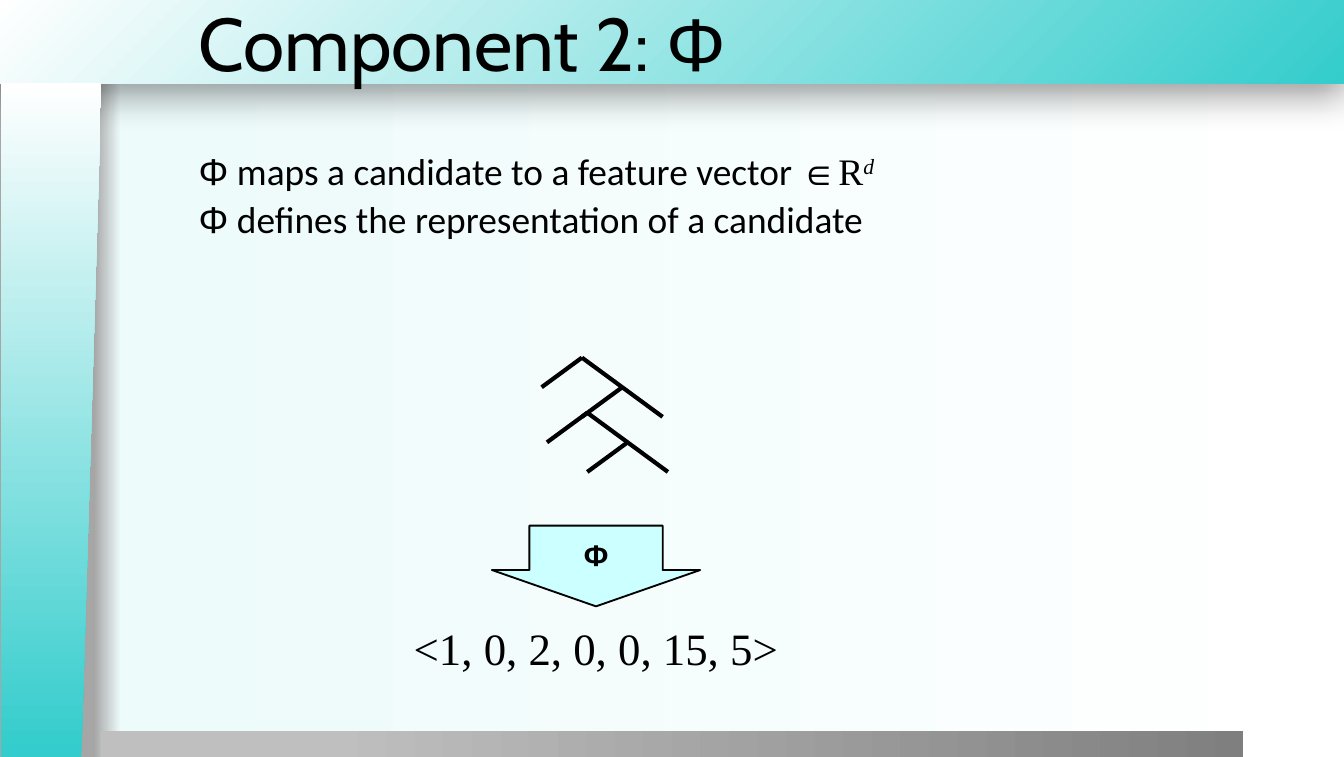
from lxml import etree
from pptx import Presentation
from pptx import util as u
from pptx.dml.color import RGBColor
from pptx.enum import shapes, text
from pptx.oxml.ns import qn

PX = u.Inches(1) // 100
BLACK, WHITE, TEAL = "000000", "FFFFFF", "34CCCC"


def px(*lengths):
    return [length * PX for length in lengths]


def rgb(value):
    return RGBColor.from_string(value)


def sub(parent, tag, **attributes):
    """Append a drawing element with the given attributes."""
    values = {name: str(value) for name, value in attributes.items()}
    return etree.SubElement(parent, qn(tag), values)


def fill_gradient(owner, fill, stops, from_corner=False):
    """Fill left to right, or outwards from the bottom right corner."""
    fill.gradient()
    gradient = next(owner.iter(qn("a:gradFill")))
    for child in list(gradient):
        gradient.remove(child)
    stop_list = sub(gradient, "a:gsLst")
    for percent, color in stops:
        stop = sub(stop_list, "a:gs", pos=percent * 1000)
        sub(stop, "a:srgbClr", val=color)
    if from_corner:
        circle = sub(gradient, "a:path", path="circle")
        sub(circle, "a:fillToRect", l=100000, t=100000)
    else:
        sub(gradient, "a:lin", ang=0, scaled=0)


def add_band(slide, kind, box, stops, from_corner=False):
    band = slide.shapes.add_shape(kind, *px(*box))
    band.shadow.inherit = False
    band.line.fill.background()
    fill_gradient(band._element, band.fill, stops, from_corner)
    return band


def add_drop_shadow(shape):
    effects = shape._element.spPr.find(qn("a:effectLst"))
    shadow = sub(effects, "a:outerShdw", blurRad=u.Pt(20), dist=u.Pt(6),
                 dir=90 * 60000, algn="t", rotWithShape=0)
    sub(sub(shadow, "a:srgbClr", val=BLACK), "a:alpha", val=40000)


def style(font, size, name=None, bold=None):
    font.size = u.Pt(size)
    font.name = name
    font.bold = bold
    font.color.rgb = rgb(BLACK)


def write(paragraph, size, *pieces):
    """Write (words, font name) pieces in one size."""
    style(paragraph.font, size)
    for words, name in pieces:
        run = paragraph.add_run()
        run.text = words
        run.font.name = name


def add_theme(slide):
    fill_gradient(slide._element, slide.background.fill,
                  [(7, "A6A6A6"), (9, "EDFBFB"), (100, WHITE)])
    rect = shapes.MSO_SHAPE.RECTANGLE
    header = add_band(slide, rect, (-1, 0, 1001, 62),
                      [(0, TEAL), (100, WHITE)], from_corner=True)
    add_drop_shadow(header)
    add_band(slide, rect, (75, 544, 850, 20), [(20, "BFBFBF"), (100, "7F7F7F")])
    side = add_band(slide, shapes.MSO_SHAPE.FLOWCHART_MANUAL_INPUT,
                    (-213, 275, 502, 75), [(1, TEAL), (100, WHITE)])
    side.rotation = 270
    side._element.spPr.xfrm.set("flipV", "1")


def place_title(slide):
    title = slide.shapes.title
    title.left, title.top, title.width, title.height = px(138, 0, 863, 62)
    slide.shapes._spTree.append(title._element)
    frame = title.text_frame
    frame.auto_size = text.MSO_AUTO_SIZE.NONE
    frame.vertical_anchor = text.MSO_ANCHOR.MIDDLE
    paragraph = frame.paragraphs[0]
    paragraph.alignment = text.PP_ALIGN.LEFT
    write(paragraph, 40, ("Component 2: ", "Cabin"), ("Φ", "Arial"))


def add_definitions(slide):
    frame = slide.shapes.add_textbox(*px(138, 109, 787, 144)).text_frame
    frame.word_wrap = True
    mapping, meaning = frame.paragraphs[0], frame.add_paragraph()
    write(mapping, 20, ("Φ", "Arial"),
          (" maps a candidate to a feature vector ", "Calibri"),
          ("∈", "Arial"), ("R", "Times New Roman"), ("d", "Times New Roman"))
    exponent = mapping.runs[-1].font
    exponent.italic = True
    exponent._element.set("baseline", "30000")
    write(meaning, 20, ("Φ", "Arial"),
          (" defines the representation of a candidate", "Calibri"))
    for paragraph in frame.paragraphs:
        paragraph.line_spacing = 0.9
        paragraph.space_before = u.Pt(4)


def add_branch(tree, start, end):
    branch = tree.shapes.add_connector(shapes.MSO_CONNECTOR.STRAIGHT,
                                       *px(*start, *end))
    branch.line.color.rgb = rgb(BLACK)
    branch.line.width = u.Pt(2.25)
    sub(branch._element.spPr, "a:effectLst")


def add_parse_tree(slide):
    tree = slide.shapes.add_group_shape()
    reach, drop = 30, 22
    for left, top in ((433, 266), (437, 307)):
        for level in range(2):
            x, y = left + level * reach, top + level * drop
            for side in (-reach, reach):
                add_branch(tree, (x, y), (x + side, y + drop))


def add_mapping_arrow(slide):
    arrow = slide.shapes.add_shape(shapes.MSO_SHAPE.DOWN_ARROW,
                                   *px(366, 391, 155, 60))
    arrow.shadow.inherit = False
    arrow.adjustments[0], arrow.adjustments[1] = 0.64, 0.45
    arrow.fill.solid()
    arrow.fill.fore_color.rgb = rgb("CCFFFF")
    arrow.line.color.rgb = rgb(BLACK)
    arrow.line.width = u.Pt(1)
    frame = arrow.text_frame
    frame.word_wrap = False
    frame.vertical_anchor = text.MSO_ANCHOR.MIDDLE
    paragraph = frame.paragraphs[0]
    paragraph.text = "Φ"
    paragraph.alignment = text.PP_ALIGN.CENTER
    style(paragraph.font, 16, "Arial", bold=True)


def add_feature_vector(slide):
    frame = slide.shapes.add_textbox(*px(298, 457, 291, 50)).text_frame
    frame.word_wrap = False
    paragraph = frame.paragraphs[0]
    paragraph.text = "<1, 0, 2, 0, 0, 15, 5>"
    style(paragraph.font, 24, "Times New Roman")


def main():
    deck = Presentation()
    deck.slide_width, deck.slide_height = px(1000, 563)
    slide = deck.slides.add_slide(deck.slide_layouts[5])
    add_theme(slide)
    place_title(slide)
    add_definitions(slide)
    add_feature_vector(slide)
    add_parse_tree(slide)
    add_mapping_arrow(slide)
    deck.save("out.pptx")


if __name__ == "__main__":
    main()
